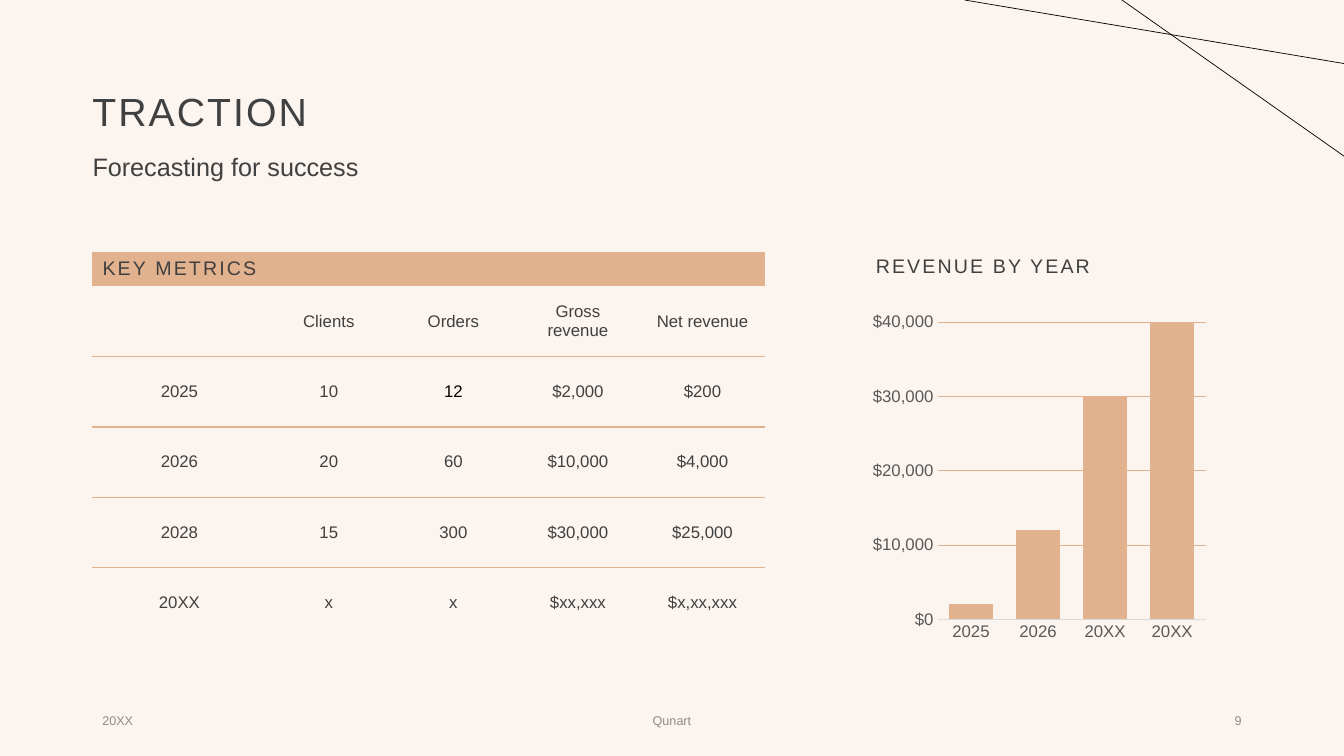
from dataclasses import dataclass

from pptx import Presentation
from pptx.chart import data as chart_data
from pptx.dml import color as dml
from pptx.enum import chart as chart_enum, shapes, text
from pptx.oxml import ns, xmlchemy
from pptx import util as u

LEFT, CENTER, RIGHT = text.PP_ALIGN.LEFT, text.PP_ALIGN.CENTER, text.PP_ALIGN.RIGHT
TOP, MIDDLE = text.MSO_ANCHOR.TOP, text.MSO_ANCHOR.MIDDLE
NO_STYLE = "{2D5ABB26-0587-4C30-8999-92F81FD0307C}"


def rgb(value):
    return dml.RGBColor.from_string(value)


@dataclass(frozen=True)
class Theme:
    font: str = "Arial"
    background: str = "FBF4EF"
    accent: str = "E2B18D"
    ink: str = "404040"
    black: str = "000000"
    axis_text: str = "595959"
    axis_line: str = "D9D9D9"
    footer_text: str = "8C8C8C"
    title: int = 28
    subtitle: int = 18
    heading: int = 14
    body: int = 12
    footer: int = 9
    tracking: float = 1.5


class SlideBuilder:
    def __init__(self, presentation, theme):
        self.theme = theme
        self.slide = presentation.slides.add_slide(presentation.slide_layouts[6])
        self.slide.background.fill.solid()
        self.slide.background.fill.fore_color.rgb = rgb(theme.background)

    def style_font(self, font, size, color):
        font.name = self.theme.font
        font.size = u.Pt(size)
        font.color.rgb = rgb(color)

    def fill_paragraph(self, paragraph, wording, size, color, align, tracking=0):
        paragraph.text = wording
        paragraph.alignment = align
        self.style_font(paragraph.font, size, color)
        if tracking:
            properties = paragraph._p.pPr.find(ns.qn("a:defRPr"))
            properties.set("spc", str(round(tracking * 100)))

    def text(self, wording, box, size, color, align=LEFT, anchor=TOP,
             tracking=0, line_spacing=None, left_inset=7.2):
        frame = self.slide.shapes.add_textbox(*map(u.Pt, box)).text_frame
        frame.word_wrap = True
        frame.vertical_anchor = anchor
        frame.margin_left = u.Pt(left_inset)
        paragraph = frame.paragraphs[0]
        self.fill_paragraph(paragraph, wording, size, color, align, tracking)
        if line_spacing:
            paragraph.line_spacing = line_spacing

    def line(self, start, end):
        connector = self.slide.shapes.add_connector(
            shapes.MSO_CONNECTOR.STRAIGHT, *map(u.Pt, start + end))
        connector.line.color.rgb = rgb(self.theme.black)
        connector.line.width = u.Pt(0.5)
        connector._element.spPr.append(xmlchemy.OxmlElement("a:effectLst"))

    def underline(self, cell):
        border = xmlchemy.OxmlElement("a:lnB")
        border.set("w", str(u.Pt(1)))
        fill = xmlchemy.OxmlElement("a:solidFill")
        tint = xmlchemy.OxmlElement("a:srgbClr")
        tint.set("val", self.theme.accent)
        fill.append(tint)
        border.append(fill)
        cell._tc.get_or_add_tcPr().insert(0, border)

    def table(self, rows, box, widths, heights, highlighted):
        theme = self.theme
        table = self.slide.shapes.add_table(
            len(rows), len(widths), *map(u.Pt, box)).table
        table.first_row = table.horz_banding = False
        table._tbl.tblPr.find(ns.qn("a:tableStyleId")).text = NO_STYLE
        for column, width in zip(table.columns, widths):
            column.width = u.Pt(width)
        for i, (row, height) in enumerate(zip(rows, heights)):
            table.rows[i].height = u.Pt(height)
            for j, wording in enumerate(row):
                cell = table.cell(i, j)
                cell.vertical_anchor = MIDDLE
                paragraph = cell.text_frame.paragraphs[0]
                if i == 0:
                    cell.fill.solid()
                    cell.fill.fore_color.rgb = rgb(theme.accent)
                    self.fill_paragraph(paragraph, wording, theme.heading, theme.ink,
                                        RIGHT, theme.tracking)
                    continue
                cell.fill.background()
                color = theme.black if (i, j) == highlighted else theme.ink
                self.fill_paragraph(paragraph, wording, theme.body, color, CENTER)
                if i < len(rows) - 1:
                    self.underline(cell)

    def column_chart(self, categories, values, box):
        theme = self.theme
        data = chart_data.CategoryChartData()
        data.categories = categories
        data.add_series("Series 1", values)
        chart = self.slide.shapes.add_chart(
            chart_enum.XL_CHART_TYPE.COLUMN_CLUSTERED, *map(u.Pt, box), data).chart
        chart.has_legend = chart.has_title = False
        self.style_font(chart.font, theme.body, theme.axis_text)

        plot = chart.plots[0]
        plot.vary_by_categories = False
        plot.gap_width, plot.overlap = 52, 30
        fill = plot.series[0].format.fill
        fill.solid()
        fill.fore_color.rgb = rgb(theme.accent)

        for axis in (chart.category_axis, chart.value_axis):
            axis.major_tick_mark = axis.minor_tick_mark = chart_enum.XL_TICK_MARK.NONE
            self.style_font(axis.tick_labels.font, theme.body, theme.axis_text)
        value_axis = chart.value_axis
        value_axis.minimum_scale, value_axis.maximum_scale = 0, 40000
        value_axis.major_unit = 10000
        value_axis.tick_labels.number_format = "[$$-409]#,##0"
        value_axis.tick_labels.number_format_is_linked = False
        value_axis.format.line.fill.background()
        for line, color in ((value_axis.major_gridlines.format.line, theme.accent),
                            (chart.category_axis.format.line, theme.axis_line)):
            line.color.rgb = rgb(color)
            line.width = u.Pt(0.75)


def main():
    presentation = Presentation()
    presentation.slide_width, presentation.slide_height = u.Pt(960), u.Pt(540)
    theme = Theme()
    builder = SlideBuilder(presentation, theme)

    builder.text("TRACTION", (66, 28.8, 828, 104.4), theme.title, theme.ink,
                 anchor=MIDDLE, tracking=theme.tracking, line_spacing=0.9, left_inset=0)
    builder.text("Forecasting for success", (59, 107.3, 533, 39), theme.subtitle,
                 theme.ink, line_spacing=0.9)

    metrics = [
        ("KEY METRICS", "", "", "", ""),
        ("", "Clients", "Orders", "Gross revenue", "Net revenue"),
        ("2025", "10", "12", "$2,000", "$200"),
        ("2026", "20", "60", "$10,000", "$4,000"),
        ("2028", "15", "300", "$30,000", "$25,000"),
        ("20XX", "x", "x", "$xx,xxx", "$x,xx,xxx"),
    ]
    builder.table(metrics, (66, 180, 480.4, 275.7), [124.4] + [89] * 4,
                  [24.5] + [50.24] * 5, highlighted=(2, 2))

    builder.text("REVENUE BY YEAR", (618.5, 180, 247.7, 24.5), theme.heading,
                 theme.ink, tracking=theme.tracking, line_spacing=0.9)
    builder.column_chart(("2025", "2026", "20XX", "20XX"), (2000, 12000, 30000, 40000),
                         (618.5, 218.9, 247.7, 244))

    for wording, left, width, align in (("20XX", 66, 216, LEFT),
                                        ("Qunart", 318, 324, CENTER),
                                        ("9", 678, 216, RIGHT)):
        builder.text(wording, (left, 500.5, width, 28.75), theme.footer,
                     theme.footer_text, align, MIDDLE)

    builder.line((801.4, 0), (960, 111.5))
    builder.line((689, 0), (960, 45.4))
    presentation.save("out.pptx")


if __name__ == "__main__":
    main()
